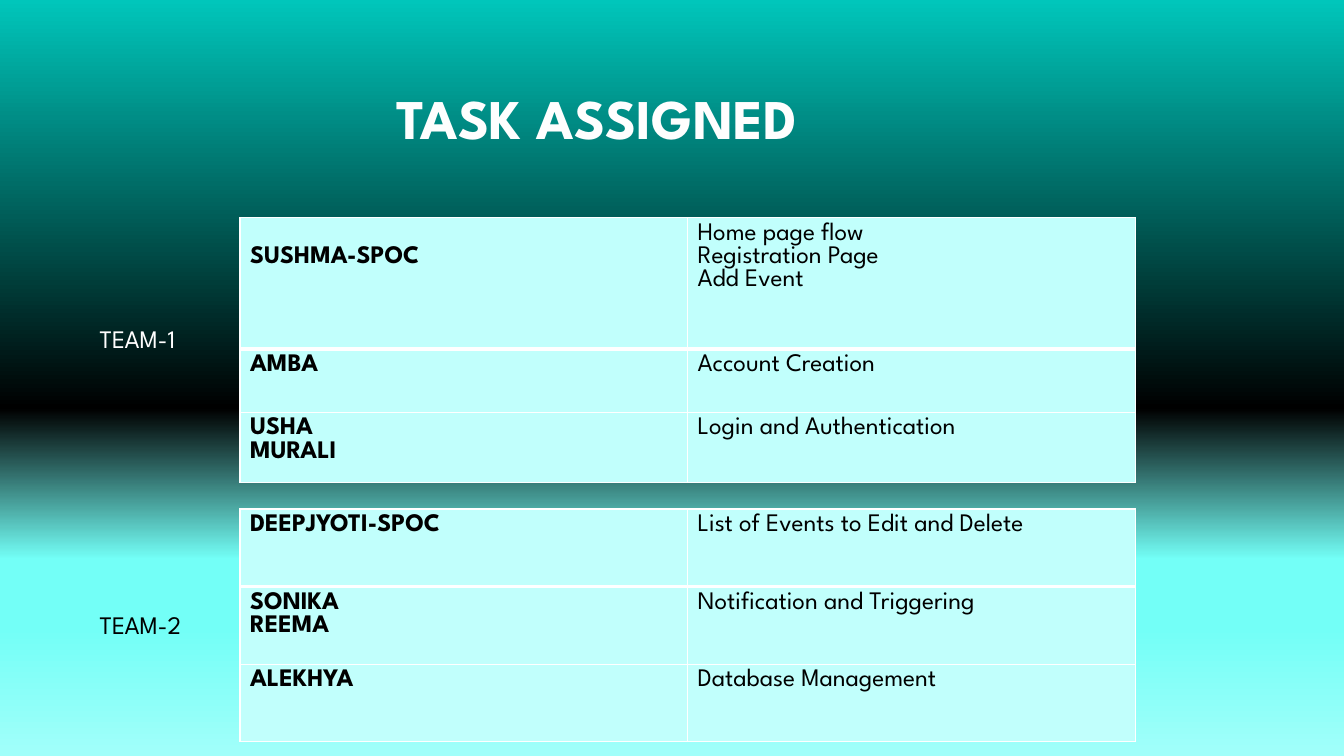
"""Build the slide that lists the tasks assigned to each team."""
from dataclasses import dataclass

import lxml.etree
import pptx
import pptx.dml.color
import pptx.enum.text
import pptx.oxml.ns
import pptx.slide
import pptx.table
import pptx.text.text
import pptx.util

Inches = pptx.util.Inches
Pt = pptx.util.Pt
RGBColor = pptx.dml.color.RGBColor
qn = pptx.oxml.ns.qn

FONT = "League Spartan"
WHITE = RGBColor(0xFF, 0xFF, 0xFF)
OFF_WHITE = RGBColor(0xFE, 0xFE, 0xFE)
BLACK = RGBColor(0x00, 0x00, 0x00)
PALE_AQUA = RGBColor(0xC1, 0xFF, 0xFC)
TEAL = RGBColor(0x00, 0xC6, 0xBB)
AQUA = RGBColor(0x73, 0xFF, 0xF7)
LIGHT_AQUA = RGBColor(0xA1, 0xFF, 0xFA)
BACKDROP = [(0, TEAL), (54, BLACK), (74, AQUA), (83, AQUA), (100, LIGHT_AQUA)]
LABEL_LEFT = 0.89
TABLE_LEFT = 2.38
COLUMN_WIDTH = 4.44


@dataclass(frozen=True)
class Assignment:
    members: list[str]
    tasks: list[str]
    height: float
    members_margin: float = 0.05


@dataclass(frozen=True)
class Team:
    name: str
    color: RGBColor
    label_top: float
    label_width: float
    table_top: float
    assignments: list[Assignment]


TEAMS = [
    Team("TEAM-1", WHITE, 3.16, 6.76, 2.16, [
        Assignment(["SUSHMA-SPOC"], ["Home page flow", "Registration Page", "Add Event"], 1.3, 0.28),
        Assignment(["AMBA"], ["Account Creation"], 0.63),
        Assignment(["USHA", "MURALI"], ["Login and Authentication"], 0.7),
    ]),
    Team("TEAM-2", BLACK, 6, 6.67, 5.05, [
        Assignment(["DEEPJYOTI-SPOC"], ["List of Events to Edit and Delete"], 0.77),
        Assignment(["SONIKA", "REEMA"], ["Notification and Triggering"], 0.77),
        Assignment(["ALEKHYA"], ["Database Management"], 0.77),
    ]),
]


def write_lines(frame: pptx.text.text.TextFrame, lines: list[str], color: RGBColor,
                bold: bool = False, size: float = 18) -> None:
    for index, line in enumerate(lines):
        paragraph = frame.paragraphs[0] if index == 0 else frame.add_paragraph()
        run = paragraph.add_run()
        run.text = line
        run.font.name = FONT
        run.font.size = Pt(size)
        run.font.bold = bold
        run.font.color.rgb = color


def paint_backdrop(slide: pptx.slide.Slide) -> None:
    fill = slide.background.fill
    fill.gradient()
    fill.gradient_angle = 270
    stops = slide.element.find(".//" + qn("a:gsLst"))
    for stop in list(stops):
        stops.remove(stop)
    for percent, color in BACKDROP:
        stop = lxml.etree.SubElement(stops, qn("a:gs"), pos=str(percent * 1000))
        lxml.etree.SubElement(stop, qn("a:srgbClr"), val=str(color))


def add_title(slide: pptx.slide.Slide) -> None:
    title = slide.shapes.title
    title.left, title.top = Inches(LABEL_LEFT), Inches(0.49)
    title.width, title.height = Inches(11.56), Inches(1.06)
    frame = title.text_frame
    frame.auto_size = pptx.enum.text.MSO_AUTO_SIZE.NONE
    frame.vertical_anchor = pptx.enum.text.MSO_ANCHOR.BOTTOM
    write_lines(frame, ["TASK ASSIGNED"], OFF_WHITE, True, 40)
    heading = frame.paragraphs[0]
    heading.alignment = pptx.enum.text.PP_ALIGN.LEFT
    properties = heading._p.get_or_add_pPr()
    properties.set("marL", str(Inches(2.94)))
    properties.set("indent", "0")
    effects = lxml.etree.Element(qn("a:effectLst"))
    shadow = lxml.etree.SubElement(effects, qn("a:outerShdw"), blurRad=str(Pt(4)),
                                   dist=str(Pt(3)), dir="2700000")
    shade = lxml.etree.SubElement(shadow, qn("a:srgbClr"), val=str(BLACK))
    lxml.etree.SubElement(shade, qn("a:alpha"), val="45000")
    heading.runs[0]._r.rPr.find(qn("a:solidFill")).addnext(effects)


def add_borders(cell: pptx.table._Cell, top: float, bottom: float) -> None:
    properties = cell._tc.get_or_add_tcPr()
    for side, width in (("L", 1), ("R", 1), ("T", top), ("B", bottom)):
        line = lxml.etree.SubElement(properties, qn(f"a:ln{side}"), w=str(Pt(width)))
        paint = lxml.etree.SubElement(line, qn("a:solidFill"))
        lxml.etree.SubElement(paint, qn("a:srgbClr"), val=str(WHITE))


def add_team(slide: pptx.slide.Slide, team: Team) -> None:
    label = slide.shapes.add_textbox(Inches(LABEL_LEFT), Inches(team.label_top),
                                     Inches(team.label_width), Inches(0.4))
    label.text_frame.word_wrap = True
    write_lines(label.text_frame, [team.name], team.color)

    total = sum(assignment.height for assignment in team.assignments)
    table = slide.shapes.add_table(len(team.assignments), 2, Inches(TABLE_LEFT),
                                   Inches(team.table_top), Inches(2 * COLUMN_WIDTH),
                                   Inches(total)).table
    table.first_row = False
    table.horz_banding = False
    for column in table.columns:
        column.width = Inches(COLUMN_WIDTH)
    for index, assignment in enumerate(team.assignments):
        table.rows[index].height = Inches(assignment.height)
        members, tasks = table.rows[index].cells
        members.margin_top = Inches(assignment.members_margin)
        write_lines(members.text_frame, assignment.members, BLACK, True)
        write_lines(tasks.text_frame, assignment.tasks, BLACK)
        for cell in (members, tasks):
            add_borders(cell, 3 if index == 1 else 1, 3 if index == 0 else 1)
            cell.fill.solid()
            cell.fill.fore_color.rgb = PALE_AQUA


def main() -> None:
    presentation = pptx.Presentation()
    presentation.slide_width = Inches(13.33)
    presentation.slide_height = Inches(7.5)
    slide = presentation.slides.add_slide(presentation.slide_layouts[5])
    paint_backdrop(slide)
    add_title(slide)
    for team in TEAMS:
        add_team(slide, team)
    presentation.save("out.pptx")


if __name__ == "__main__":
    main()
